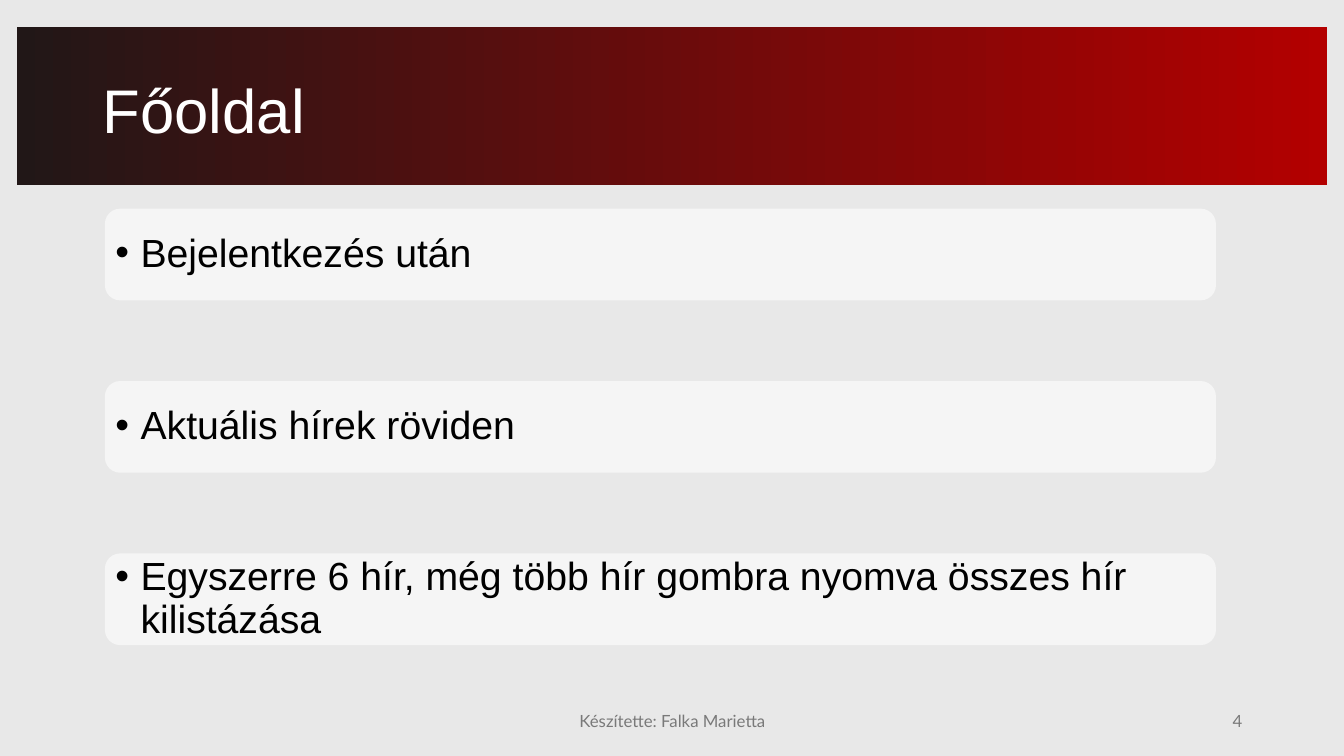
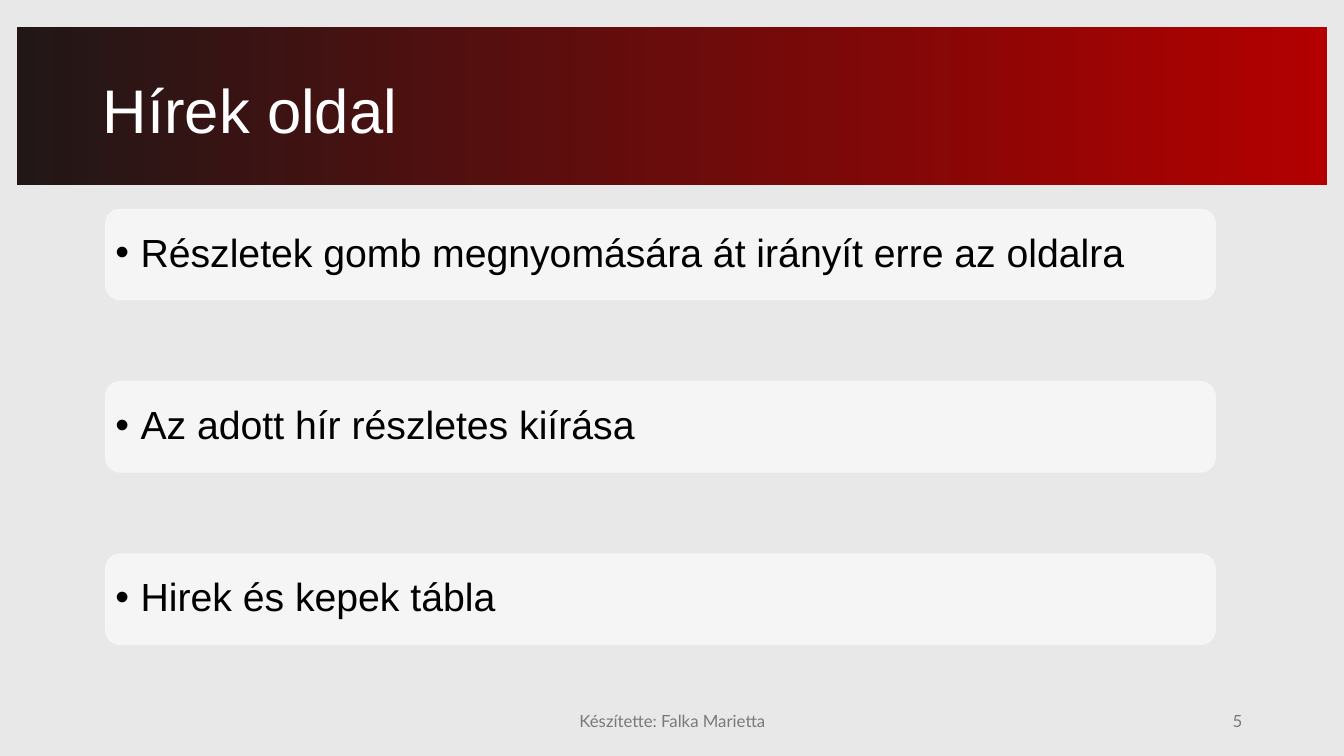
from pptx import Presentation
from pptx.dml.color import RGBColor as RGB
from pptx.enum.shapes import MSO_SHAPE as SHAPE
from pptx.enum.text import MSO_ANCHOR as ANCHOR, PP_ALIGN as ALIGN
from pptx.oxml.ns import qn
from pptx.util import Inches, Pt
from lxml.etree import SubElement

PAGES = [
    ("Főoldal", [
        "Bejelentkezés után",
        "Aktuális hírek röviden",
        "Egyszerre 6 hír, még több hír gombra nyomva összes hír kilistázása",
    ]),
    ("Hírek oldal", [
        "Részletek gomb megnyomására át irányít erre az oldalra",
        "Az adott hír részletes kiírása",
        "Hirek és kepek tábla",
    ]),
]
FOOTER = "Készítette: Falka Marietta"
FIRST = 4

COLORS = {
    "page": "E8E8E8", "dark": "211717", "red": "B30000", "card": "F5F5F5",
    "title": "FFFFFF", "body": "000000", "footer": "797979",
}
BAND = (0.17, 0.27, 12.99, 1.57)
TITLE = (0.92, 0.4, 11.5, 1.45)
NOTE = (4.42, 6.95, 4.5, 0.4)
NUMBER = (9.42, 6.95, 3, 0.4)
LEFT, TOP, WIDTH, HEIGHT, STEP = 1.04, 2.07, 11.02, 0.91, 1.71


def color(name):
    return RGB.from_string(COLORS[name])


def inches(box):
    return [Inches(n) for n in box]


def write(shape, text, size, tint, font="Arial", align=ALIGN.LEFT,
          line=None, before=None, bullet=False, inset=0.1):
    frame = shape.text_frame
    frame.word_wrap = True
    frame.vertical_anchor = ANCHOR.MIDDLE
    frame.margin_left = frame.margin_right = Inches(inset)
    frame.margin_top = frame.margin_bottom = Inches(0.05)
    para = frame.paragraphs[0]
    para.alignment = align
    para.line_spacing = line
    if before is not None:
        para.space_before = Pt(before)
    if bullet:
        props = para._p.get_or_add_pPr()
        props.set("marL", str(Inches(0.25)))
        props.set("indent", str(Inches(-0.25)))
        SubElement(props, qn("a:buFont")).set("typeface", "Arial")
        SubElement(props, qn("a:buChar")).set("char", "•")
    run = para.add_run()
    run.text = text
    run.font.name = font
    run.font.size = Pt(size)
    run.font.color.rgb = color(tint)


def block(slide, kind, box):
    shape = slide.shapes.add_shape(kind, *inches(box))
    shape.shadow.inherit = False
    shape.line.fill.background()
    return shape


def band(slide):
    shape = block(slide, SHAPE.RECTANGLE, BAND)
    shape.fill.gradient()
    shape.fill.gradient_angle = 0
    for stop, name, place in zip(shape.fill.gradient_stops, ("dark", "red"), (0, 1)):
        stop.color.rgb = color(name)
        stop.position = place
    slide.shapes._spTree.insert(2, shape._element)


def footer(slide, number):
    for text, box, align in ((FOOTER, NOTE, ALIGN.CENTER),
                             (str(number), NUMBER, ALIGN.RIGHT)):
        write(slide.shapes.add_textbox(*inches(box)), text, 12, "footer",
              font="Lato", align=align)


def build(deck, number, title, items):
    slide = deck.slides.add_slide(deck.slide_layouts[5])
    band(slide)
    head = slide.shapes.title
    head.left, head.top, head.width, head.height = inches(TITLE)
    write(head, title, 44, "title", line=0.9)
    footer(slide, number)
    for row, item in enumerate(items):
        card = block(slide, SHAPE.ROUNDED_RECTANGLE,
                     (LEFT, TOP + row * STEP, WIDTH, HEIGHT))
        card.fill.solid()
        card.fill.fore_color.rgb = color("card")
        write(card, item, 28, "body", line=0.9, before=10, bullet=True, inset=0.06)


def main():
    deck = Presentation()
    deck.slide_width, deck.slide_height = Inches(13.33), Inches(7.5)
    back = deck.slide_master.background.fill
    back.solid()
    back.fore_color.rgb = color("page")
    for number, (title, items) in enumerate(PAGES, FIRST):
        build(deck, number, title, items)
    deck.save("out.pptx")


if __name__ == "__main__":
    main()
